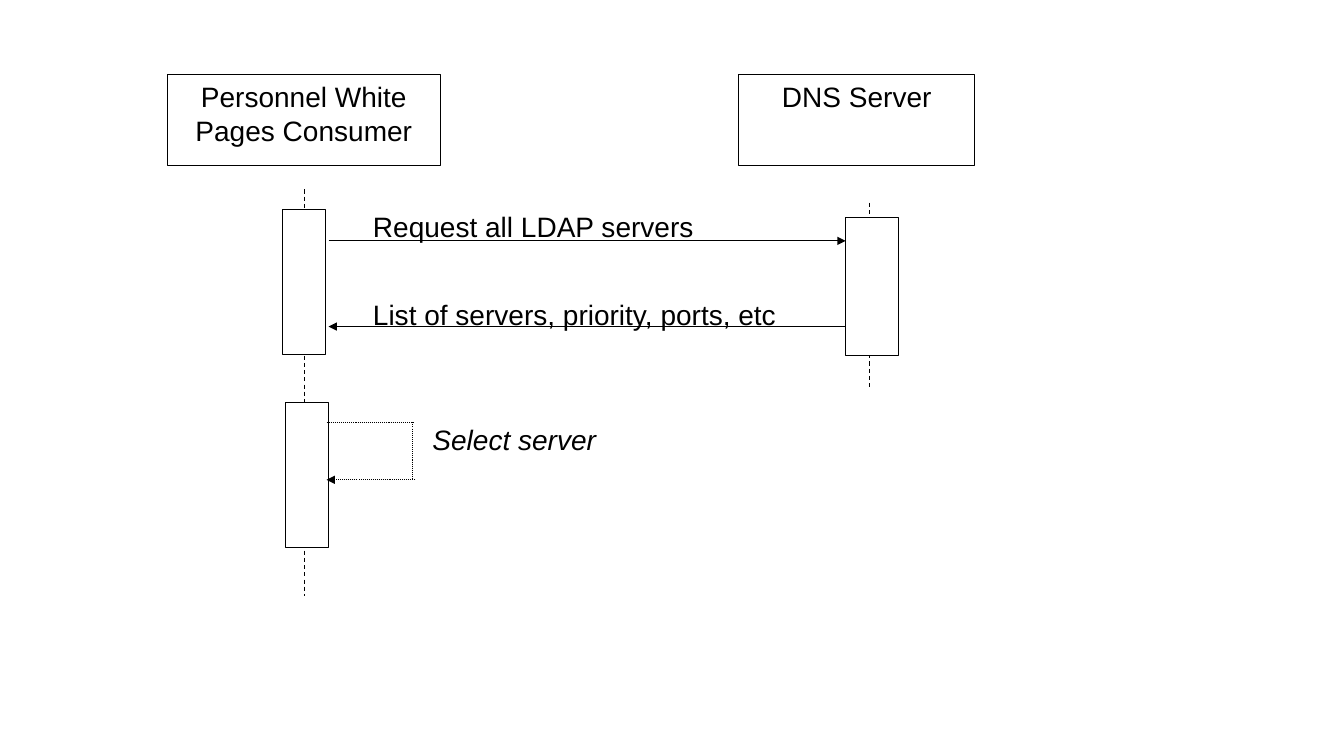
from lxml import etree
from pptx import Presentation
from pptx.dml.color import RGBColor
from pptx.enum.dml import MSO_LINE
from pptx.enum.shapes import MSO_CONNECTOR, MSO_SHAPE
from pptx.enum.text import MSO_ANCHOR, PP_ALIGN
from pptx.oxml.ns import qn
from pptx.util import Inches, Pt

RECT = MSO_SHAPE.RECTANGLE
STRAIGHT = MSO_CONNECTOR.STRAIGHT
DASH = MSO_LINE.DASH
DOT = MSO_LINE.ROUND_DOT
TOP = MSO_ANCHOR.TOP
LEFT = PP_ALIGN.LEFT
CENTER = PP_ALIGN.CENTER
COLORS = {"ink": "000000", "paper": "FFFFFF"}
COLS, ROWS = 40, 30


class Chart:
    font = "Arial"
    size = Pt(20)
    weight = Pt(0.75)

    def __init__(self, deck):
        self.slide = deck.slides.add_slide(deck.slide_layouts[6])
        self.shapes = self.slide.shapes
        self.col = deck.slide_width / COLS
        self.row = deck.slide_height / ROWS

    def color(self, name):
        return RGBColor.from_string(COLORS[name])

    def place(self, *spots):
        units = (self.col, self.row) * 2
        return [round(spot * unit) for spot, unit in zip(spots, units)]

    def stroke(self, line):
        line.color.rgb = self.color("ink")
        line.width = self.weight

    def letter(self, frame, text, align, slant=False):
        frame.word_wrap = True
        frame.vertical_anchor = TOP
        para = frame.paragraphs[0]
        para.alignment = align
        run = para.add_run()
        run.text = text
        run.font.name = self.font
        run.font.size = self.size
        run.font.italic = slant
        run.font.color.rgb = self.color("ink")

    def box(self, x, y, w, h, text=None):
        box = self.shapes.add_shape(RECT, *self.place(x, y, w, h))
        box.shadow.inherit = False
        box.fill.solid()
        box.fill.fore_color.rgb = self.color("paper")
        self.stroke(box.line)
        if text:
            self.letter(box.text_frame, text, CENTER)

    def label(self, x, y, w, text, slant=False):
        frame = self.shapes.add_textbox(*self.place(x, y, w, 1.92)).text_frame
        frame.margin_left = frame.margin_right = 0
        frame.margin_top = frame.margin_bottom = 0
        self.letter(frame, text, LEFT, slant)

    def line(self, x1, y1, x2, y2, dash=None, arrow=False):
        line = self.shapes.add_connector(STRAIGHT, *self.place(x1, y1, x2, y2))
        self.stroke(line.line)
        if dash:
            line.line.dash_style = dash
        props = line._element.spPr
        if arrow:
            etree.SubElement(props.find(qn("a:ln")), qn("a:tailEnd"), type="triangle")
        etree.SubElement(props, qn("a:effectLst"))


def main():
    deck = Presentation()
    deck.slide_width = Inches(13.33)
    deck.slide_height = Inches(7.5)
    chart = Chart(deck)

    for x, w, name in (
        (4.98, 8.13, "Personnel White Pages Consumer"),
        (21.99, 7.02, "DNS Server"),
    ):
        chart.box(x, 2.96, w, 3.6, name)

    for x, start, end in ((9.06, 7.52, 23.64), (25.89, 8.04, 15.36)):
        chart.line(x, start, x, end, DASH)

    for bar in (
        (8.4, 8.32, 1.29, 5.76),
        (25.17, 8.64, 1.56, 5.48),
        (8.49, 15.96, 1.29, 5.76),
    ):
        chart.box(*bar)

    near, far = 9.78, 25.17
    for start, end, y in ((near, far, 9.56), (far, near, 12.96)):
        chart.line(start, y, end, y, arrow=True)

    edge, bend, tip = 9.72, 12.27, 12.36
    top, base = 16.76, 19.04
    chart.line(edge, top, tip, top, DOT)
    chart.line(bend, top, bend, base, DOT)
    chart.line(tip, base, edge, base, DOT, arrow=True)

    chart.label(11.1, 8.32, 11.25, "Request all LDAP servers")
    chart.label(11.1, 11.8, 13.14, "List of servers, priority, ports, etc")
    chart.label(12.87, top, 11.25, "Select server", slant=True)

    deck.save("out.pptx")


if __name__ == "__main__":
    main()
